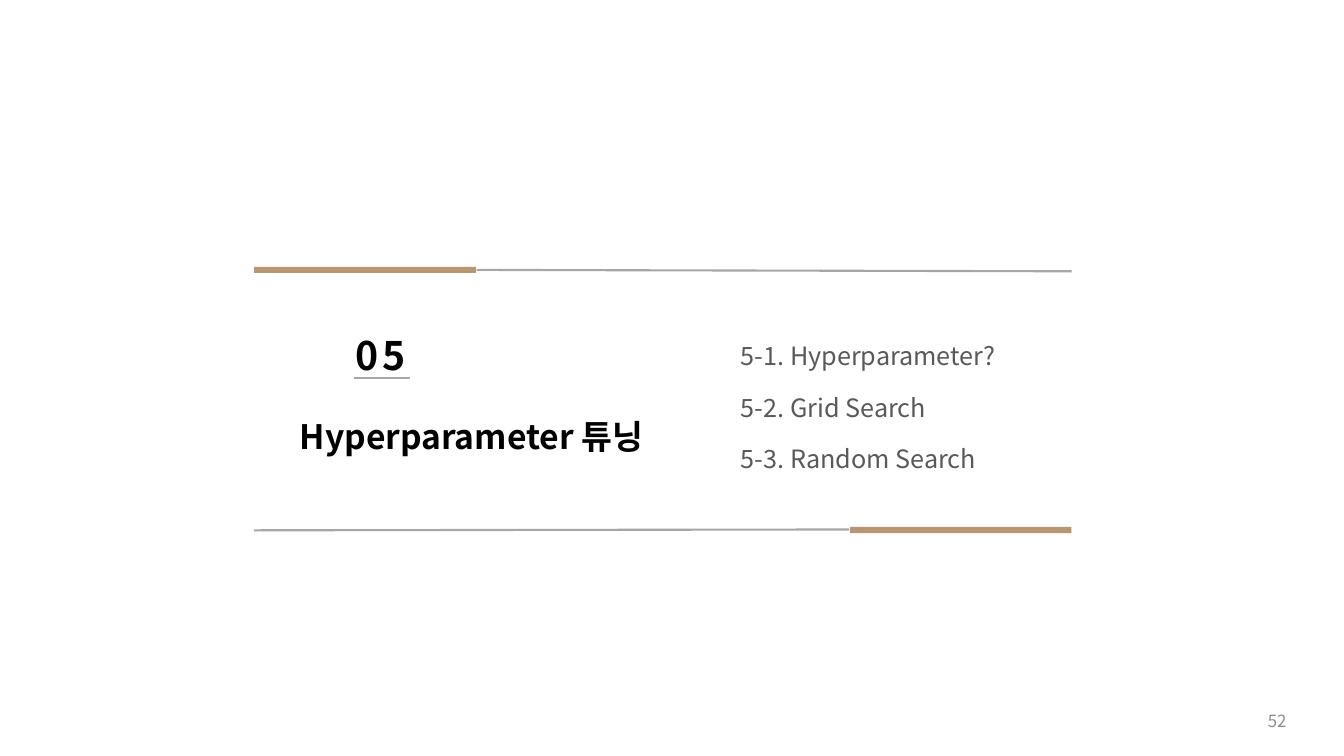
from dataclasses import dataclass

from lxml.etree import SubElement
from pptx import Presentation
from pptx.dml.color import RGBColor
from pptx.enum.shapes import MSO_CONNECTOR, MSO_SHAPE
from pptx.enum.text import MSO_ANCHOR, MSO_AUTO_SIZE, PP_ALIGN
from pptx.oxml.ns import qn
from pptx.shapes.autoshape import Shape
from pptx.slide import Slide
from pptx.util import Pt

FONT = "Noto Sans CJK KR"
TAN, GREY, BLACK = "B79675", "A6A6A6", "000000"
BODY_GREY, NUMBER_GREY = "595959", "8C8C8C"
BAR_WIDTH, BAR_HEIGHT = 158.4, 4.4


@dataclass(frozen=True)
class Rule:
    start: tuple[float, float]
    end: tuple[float, float]


@dataclass(frozen=True)
class Bar:
    left: float
    top: float


BARS = [Bar(181.6, 190.6), Bar(607, 376.4)]
RULES = [
    Rule((340.4, 192.8), (765.4, 193.8)),
    Rule((181.4, 378.8), (606.4, 378.2)),
    Rule((252.8, 270), (293, 270)),
]


def color(hex_code: str) -> RGBColor:
    return RGBColor.from_string(hex_code)


def draw_bar(page: Slide, bar: Bar) -> None:
    box = page.shapes.add_shape(MSO_SHAPE.RECTANGLE, Pt(bar.left), Pt(bar.top),
                                Pt(BAR_WIDTH), Pt(BAR_HEIGHT))
    box.shadow.inherit = False
    box.fill.solid()
    box.fill.fore_color.rgb = color(TAN)
    box.line.fill.background()


def draw_rule(page: Slide, rule: Rule) -> None:
    line = page.shapes.add_connector(MSO_CONNECTOR.STRAIGHT,
                                     *map(Pt, rule.start + rule.end))
    line.line.color.rgb = color(GREY)
    line.line.width = Pt(1.5)
    SubElement(line._element.spPr, qn("a:effectLst"))


def place(box: Shape, left: float, top: float, width: float, height: float) -> Shape:
    box.left, box.top, box.width, box.height = map(Pt, (left, top, width, height))
    return box


def add_text_box(page: Slide, *bounds: float) -> Shape:
    return page.shapes.add_textbox(*map(Pt, bounds))


def write(box: Shape, text: str, *, size: float, ink: str, bold: bool = False,
          align: PP_ALIGN = PP_ALIGN.LEFT, line_spacing: float = 1.0,
          tracking: float = 0, anchor: MSO_ANCHOR = MSO_ANCHOR.TOP,
          wrap: bool = True) -> None:
    """Fill the box with one unbulleted paragraph per line of text."""
    frame = box.text_frame
    frame.text = text
    frame.word_wrap = wrap
    frame.auto_size = MSO_AUTO_SIZE.NONE
    frame.vertical_anchor = anchor
    for para in frame.paragraphs:
        properties = para._p.get_or_add_pPr()
        properties.set("marL", "0")
        properties.set("indent", "0")
        SubElement(properties, qn("a:buNone"))
        para.alignment = align
        para.line_spacing = line_spacing
        para.space_before = Pt(0)
        for span in para.runs:
            span.font.name = FONT
            span.font.size = Pt(size)
            span.font.bold = bold
            span.font.color.rgb = color(ink)
            run_properties = span._r.get_or_add_rPr()
            SubElement(run_properties, qn("a:ea"), typeface=FONT)
            if tracking:
                run_properties.set("spc", str(round(tracking * 100)))


def main() -> None:
    deck = Presentation()
    deck.slide_width, deck.slide_height = Pt(960), Pt(540)
    page = deck.slides.add_slide(deck.slide_layouts[1])

    for bar in BARS:
        draw_bar(page, bar)
    for rule in RULES:
        draw_rule(page, rule)

    write(add_text_box(page, 247, 233.4, 58.4, 41), "05",
          size=28, ink=BLACK, bold=True, tracking=3, wrap=False)
    write(place(page.shapes.title, 194.4, 279.4, 285, 47.6), "Hyperparameter 튜닝",
          size=24, ink=BLACK, bold=True, align=PP_ALIGN.CENTER, line_spacing=1.5)
    write(place(page.placeholders[1], 522, 224.6, 231.8, 113.8),
          "5-1. Hyperparameter?\n5-2. Grid Search\n5-3. Random Search",
          size=18, ink=BODY_GREY, line_spacing=1.7)
    write(add_text_box(page, 710, 500.4, 216, 28.8), "52", size=12,
          ink=NUMBER_GREY, align=PP_ALIGN.RIGHT, anchor=MSO_ANCHOR.MIDDLE)

    deck.save("out.pptx")


if __name__ == "__main__":
    main()
